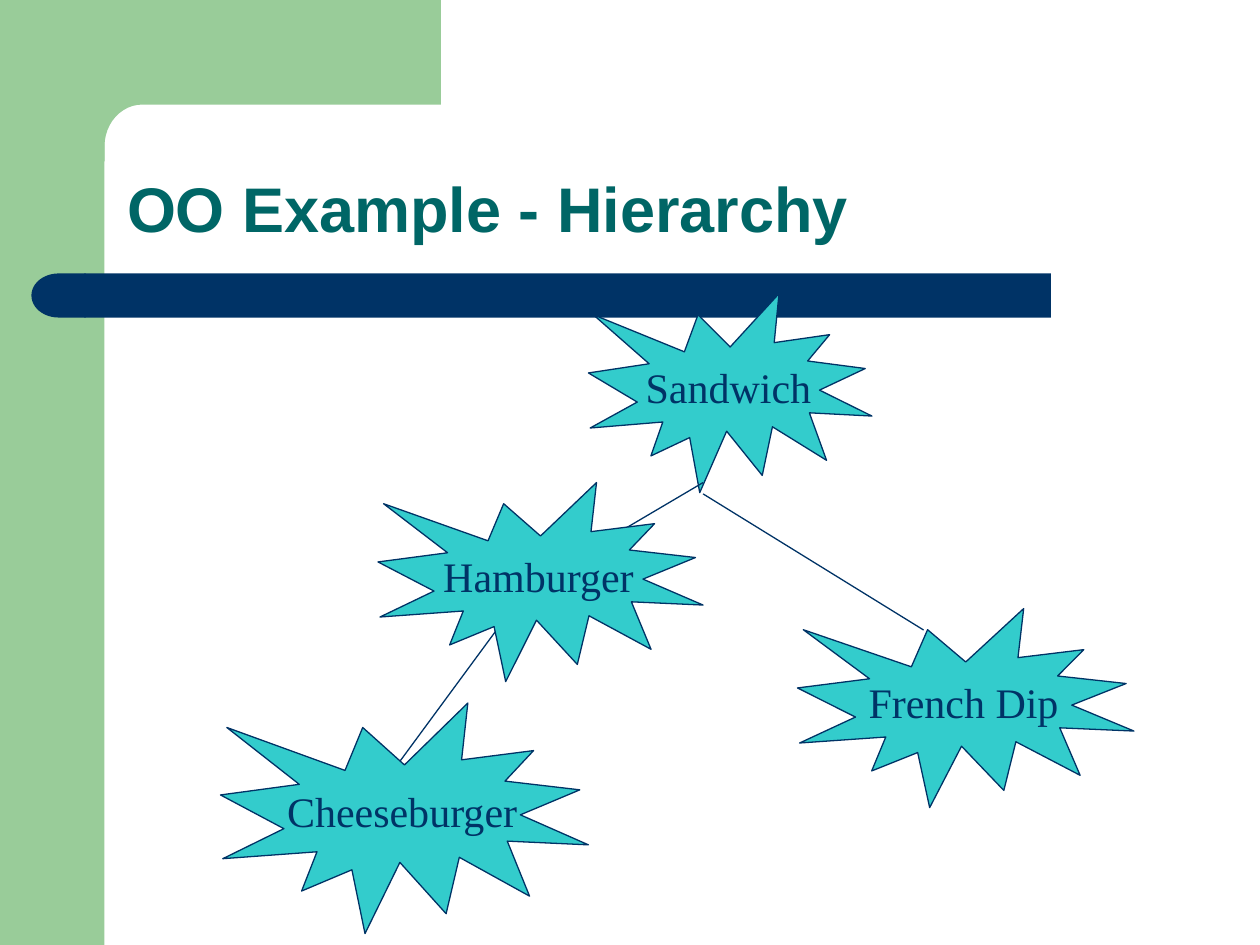
import math
from dataclasses import dataclass

import pptx
import pptx.dml.color
import pptx.enum.shapes
import pptx.enum.text
import pptx.oxml.ns
import pptx.util
from lxml import etree

Inches = pptx.util.Inches
Pt = pptx.util.Pt
Kind = pptx.enum.shapes.MSO_SHAPE
Anchor = pptx.enum.text.MSO_ANCHOR
Align = pptx.enum.text.PP_ALIGN

GREEN = "99CC99"
NAVY = "003366"
TEAL = "006666"
AQUA = "33CCCC"


@dataclass
class Burst:
    text: str
    left: float
    top: float
    width: float
    height: float


@dataclass
class Link:
    x1: float
    y1: float
    x2: float
    y2: float


def color(code: str):
    return pptx.dml.color.RGBColor.from_string(code)


def paint(shape, fill: str):
    shape.shadow.inherit = False
    shape.fill.solid()
    shape.fill.fore_color.rgb = color(fill)
    shape.line.fill.background()


def style(frame, size: float, face: str, ink: str, bold: bool = False):
    font = frame.paragraphs[0].runs[0].font
    font.size = Pt(size)
    font.name = face
    font.bold = bold
    font.color.rgb = color(ink)


def outline(line):
    line.color.rgb = color(NAVY)
    line.width = Pt(0.75)


def add_block(slide, kind, left: float, top: float, width: float, height: float, fill: str):
    shape = slide.shapes.add_shape(
        kind, Inches(left), Inches(top), Inches(width), Inches(height))
    paint(shape, fill)
    return shape


def add_corner(slide):
    steps = 12
    arc = []
    for i in range(steps + 1):
        turn = math.pi / 2 * i / steps
        arc.append((1.13 - 0.3 * math.sin(turn), 1.16 - 0.33 * math.cos(turn)))
    points = [(3.5, 0.83), *arc, (0.83, 1.28), (0.5, 1.28), (0.5, 0)]
    builder = slide.shapes.build_freeform(Inches(3.5), 0)
    builder.add_line_segments([(Inches(x), Inches(y)) for x, y in points])
    paint(builder.convert_to_shape(), GREEN)


def add_title(slide, text: str):
    box = slide.shapes.add_textbox(Inches(0.91), Inches(0.91), Inches(8.51), Inches(1.09))
    frame = box.text_frame
    frame.word_wrap = True
    frame.vertical_anchor = Anchor.BOTTOM
    frame.text = text
    frame.paragraphs[0].line_spacing = 0.9
    style(frame, 36, "Arial", TEAL, True)


def add_link(slide, link: Link):
    line = slide.shapes.add_connector(
        pptx.enum.shapes.MSO_CONNECTOR.STRAIGHT,
        Inches(link.x1), Inches(link.y1), Inches(link.x2), Inches(link.y2))
    outline(line.line)
    etree.SubElement(line.element.spPr, pptx.oxml.ns.qn("a:effectLst"))


def add_burst(slide, burst: Burst):
    shape = add_block(slide, Kind.EXPLOSION1, burst.left, burst.top,
                      burst.width, burst.height, AQUA)
    outline(shape.line)
    frame = shape.text_frame
    frame.word_wrap = False
    frame.vertical_anchor = Anchor.MIDDLE
    frame.text = burst.text
    frame.paragraphs[0].alignment = Align.CENTER
    style(frame, 24, "Times New Roman", NAVY)


ITEMS = [
    Link(3.08, 6.17, 4, 4.92),
    Burst("Sandwich", 4.67, 2.33, 2.25, 1.58),
    Burst("Cheeseburger", 1.75, 5.58, 2.92, 1.83),
    Burst("French Dip", 6.33, 4.83, 2.67, 1.58),
    Link(4.58, 4.42, 5.58, 3.83),
    Link(7.33, 5, 5.58, 3.92),
    Burst("Hamburger", 3, 3.83, 2.58, 1.58),
]


def main():
    deck = pptx.Presentation()
    deck.slide_width = Inches(10)
    deck.slide_height = Inches(7.5)
    slide = deck.slides.add_slide(deck.slide_layouts[6])

    add_block(slide, Kind.RECTANGLE, 0, 0, 0.83, 7.5, GREEN)
    add_corner(slide)
    bar = add_block(slide, Kind.ROUNDED_RECTANGLE, 0.67, 2.17, 7.67, 0.35, NAVY)
    bar.adjustments[0] = 0
    cap = add_block(slide, Kind.FLOWCHART_DELAY, 0.25, 2.17, 0.43, 0.35, NAVY)
    cap.element.spPr.xfrm.set("flipH", "1")
    add_title(slide, "OO Example - Hierarchy")

    for item in ITEMS:
        if isinstance(item, Link):
            add_link(slide, item)
        else:
            add_burst(slide, item)

    deck.save("out.pptx")


if __name__ == "__main__":
    main()
